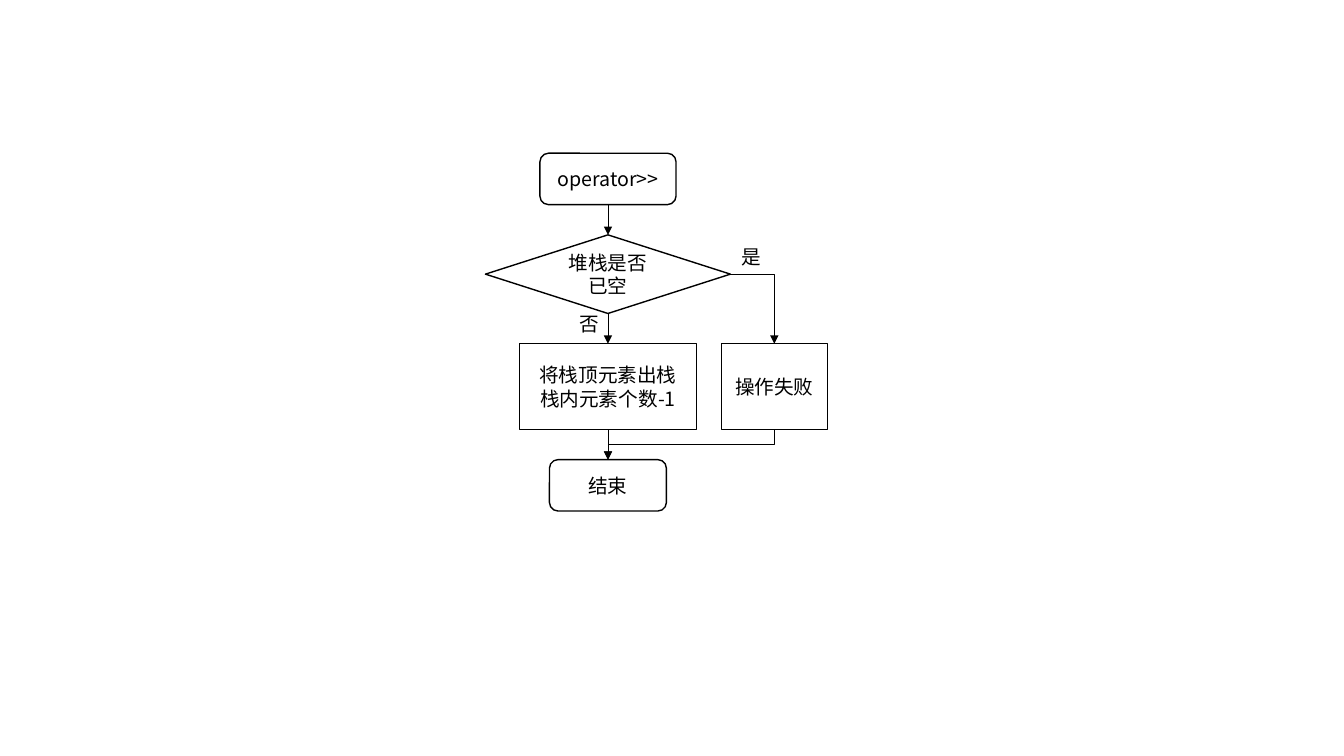
from dataclasses import dataclass

from lxml.etree import SubElement
from pptx import Presentation
from pptx.dml.color import RGBColor
from pptx.enum.shapes import MSO_CONNECTOR, MSO_SHAPE
from pptx.enum.text import MSO_ANCHOR, MSO_AUTO_SIZE, PP_ALIGN
from pptx.oxml.ns import qn
from pptx.util import Inches, Pt


@dataclass(frozen=True)
class Theme:
    ink: RGBColor = RGBColor(0, 0, 0)
    paper: RGBColor = RGBColor(255, 255, 255)
    font: str = "Noto Sans CJK SC"
    size: Pt = Pt(14)
    outline: Pt = Pt(1)
    arrow: Pt = Pt(0.5)


THEME = Theme()
MAIN_X, FAIL_X = 6.03, 7.68  # column centres
TOP, GAP = 1.52, 0.3
TOP_SITE, BOTTOM_SITE, RIGHT_SITE = 0, 2, 3  # connection sites


def set_all(obj, values):
    for name, value in values.items():
        setattr(obj, name, value)


def write(tf, text, align, **frame):
    tf.text = text
    set_all(tf, frame)
    for p in tf.paragraphs:
        p.alignment = align
        for r in p.runs:
            set_all(r.font, {"name": THEME.font, "size": THEME.size})
            r.font.color.rgb = THEME.ink
            SubElement(r.font._element, qn("a:ea"), typeface=THEME.font)


def add_step(s, kind, centre, top, width, height, text):
    sp = s.shapes.add_shape(kind, Inches(centre - width / 2), Inches(top),
                            Inches(width), Inches(height))
    sp.shadow.inherit = False
    sp.fill.solid()
    sp.fill.fore_color.rgb = THEME.paper
    sp.line.color.rgb = THEME.ink
    sp.line.width = THEME.outline
    write(sp.text_frame, text, PP_ALIGN.CENTER,
          word_wrap=True, vertical_anchor=MSO_ANCHOR.MIDDLE)
    return sp


def add_label(s, left, top, text):
    box = s.shapes.add_textbox(Inches(left), Inches(top), Inches(0.4), Inches(0.34))
    write(box.text_frame, text, PP_ALIGN.LEFT,
          word_wrap=False, auto_size=MSO_AUTO_SIZE.SHAPE_TO_FIT_TEXT)


def add_arrow(s, start, end, kind=MSO_CONNECTOR.STRAIGHT, site=BOTTOM_SITE):
    arrow = s.shapes.add_connector(kind, 0, 0, 0, 0)
    arrow.begin_connect(start, site)
    arrow.end_connect(end, TOP_SITE)
    arrow.line.color.rgb = THEME.ink
    arrow.line.width = THEME.arrow
    SubElement(arrow.line._get_or_add_ln(), qn("a:tailEnd"), type="triangle")
    SubElement(arrow._element.spPr, qn("a:effectLst"))
    return arrow


def turn_once(arrow):
    """Give an elbow a single corner: across, then down."""
    arrow._element.spPr.find(qn("a:prstGeom")).set("prst", "bentConnector2")


def turn_downward(arrow):
    """Rotate an elbow so that it leaves and arrives vertically."""
    left, top, width, height = arrow.left, arrow.top, arrow.width, arrow.height
    shift = (width - height) // 2
    set_all(arrow, {"left": left + shift, "top": top - shift,
                    "width": height, "height": width})
    xfrm = arrow._element.spPr.find(qn("a:xfrm"))
    xfrm.attrib.pop("flipH", None)
    xfrm.set("rot", str(90 * 60000))


def main():
    prs = Presentation()
    set_all(prs, {"slide_width": Inches(13.33), "slide_height": Inches(7.5)})
    s = prs.slides.add_slide(prs.slide_layouts[6])

    # Main column, from top to bottom
    steps, top = [], TOP
    for kind, width, height, text in (
        (MSO_SHAPE.ROUNDED_RECTANGLE, 1.35, 0.51, "operator>>"),
        (MSO_SHAPE.DIAMOND, 2.43, 0.78, "堆栈是否\n已空"),
        (MSO_SHAPE.RECTANGLE, 1.76, 0.85, "将栈顶元素出栈\n栈内元素个数-1"),
        (MSO_SHAPE.ROUNDED_RECTANGLE, 1.16, 0.51, "结束"),
    ):
        steps.append(add_step(s, kind, MAIN_X, top, width, height, text))
        top += height + GAP
    _, empty, pop, end = steps

    # Failure branch, level with the pop step
    fail = add_step(s, MSO_SHAPE.RECTANGLE, FAIL_X, pop.top.inches, 1.05,
                    pop.height.inches, "操作失败")

    # Arrows
    for upper, lower in zip(steps, steps[1:]):
        add_arrow(s, upper, lower)
    turn_once(add_arrow(s, empty, fail, MSO_CONNECTOR.ELBOW, RIGHT_SITE))
    turn_downward(add_arrow(s, fail, end, MSO_CONNECTOR.ELBOW))

    # Answers to the decision
    add_label(s, 5.65, 3.05, "否")
    add_label(s, 7.26, 2.38, "是")

    prs.save("out.pptx")


main()
